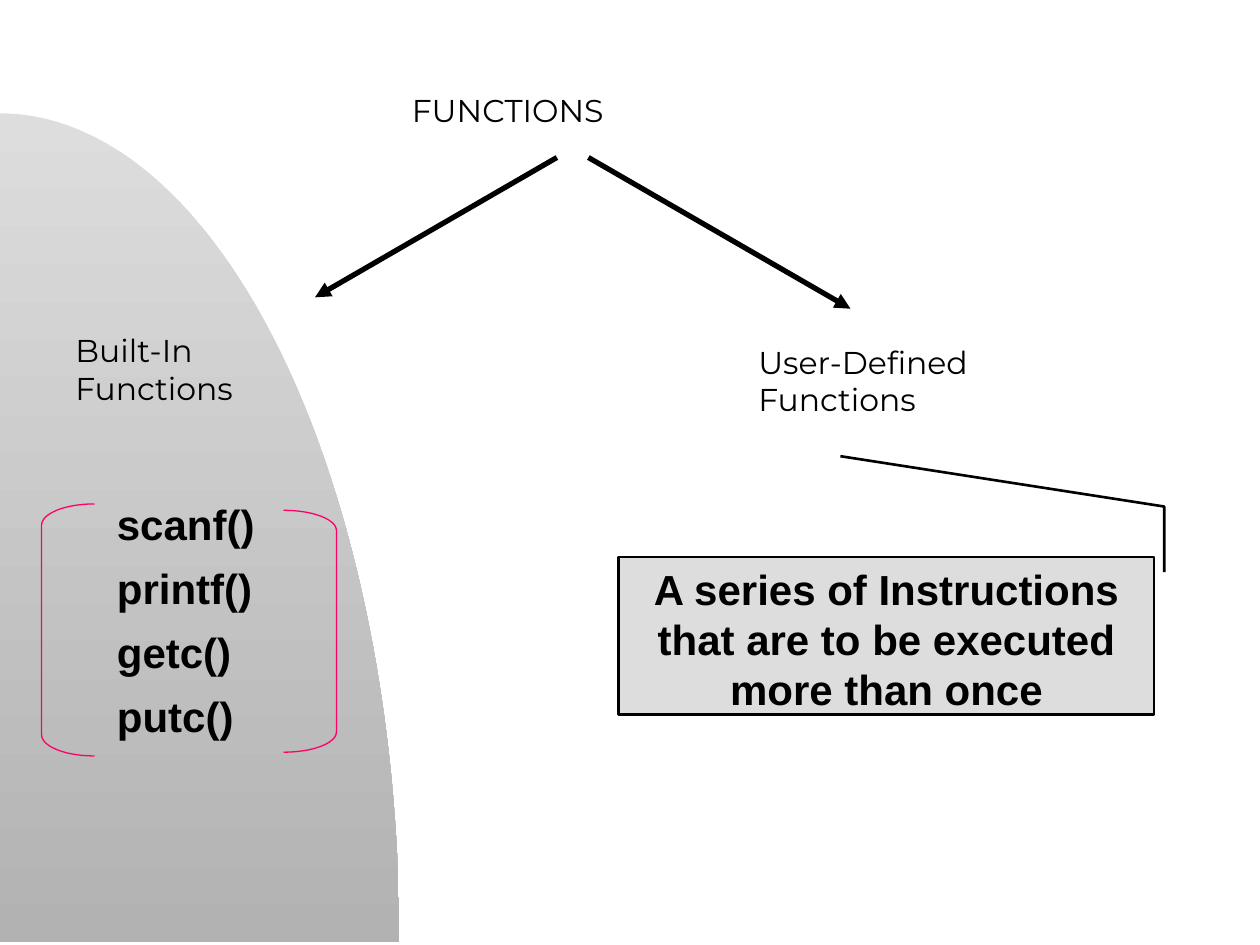
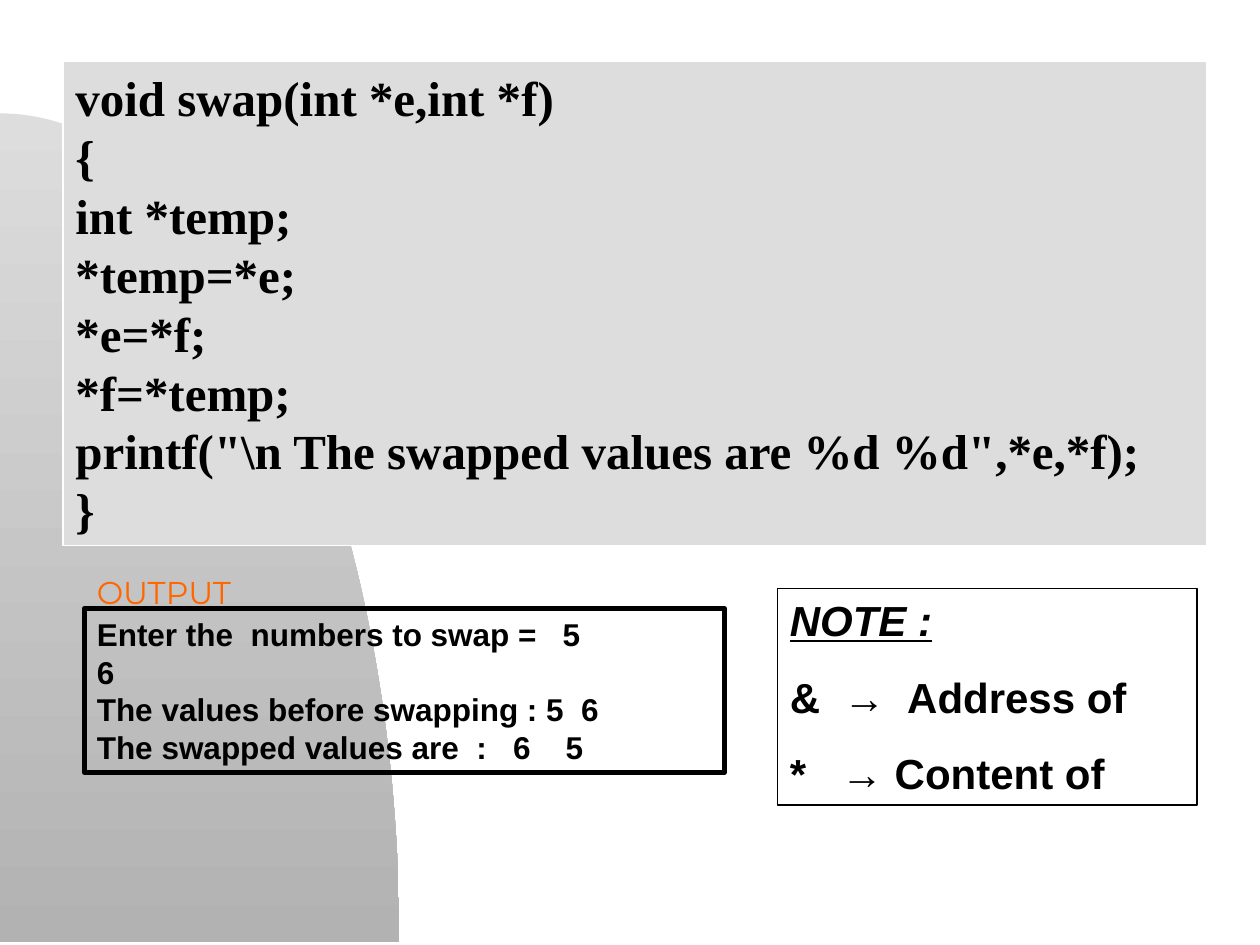
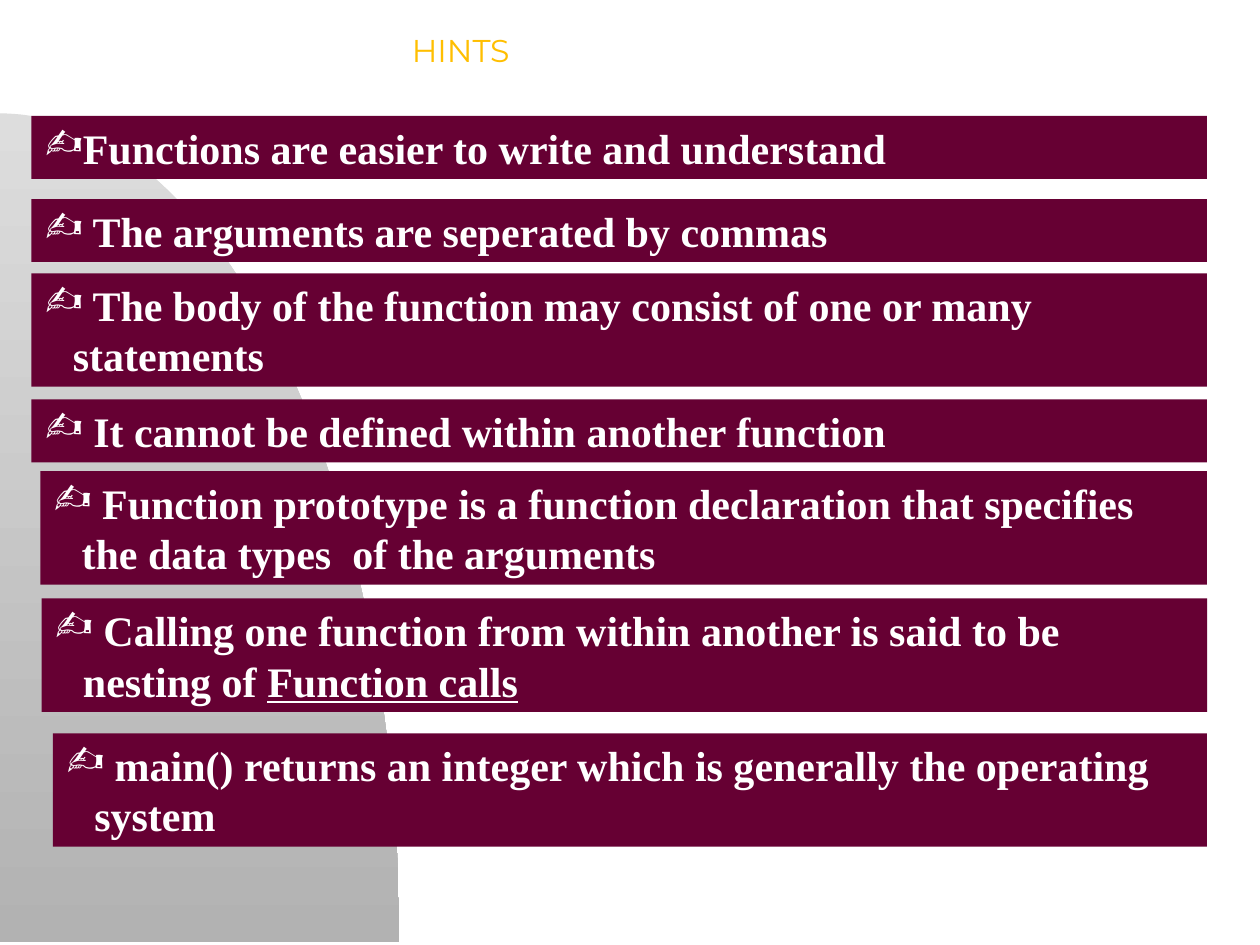
import math

import lxml.etree
import pptx
import pptx.dml.color
import pptx.enum.shapes
import pptx.enum.text
import pptx.oxml.ns
import pptx.util

Inches = pptx.util.Inches
Pt = pptx.util.Pt
SHAPE = pptx.enum.shapes.MSO_SHAPE
FIT = pptx.enum.text.MSO_AUTO_SIZE
ALIGN = pptx.enum.text.PP_ALIGN

COLORS = {
    "black": "000000", "white": "FFFFFF", "light": "DDDDDD", "gray": "B2B2B2",
    "pink": "FF0066", "orange": "FF6600", "gold": "FFBF00", "wine": "660033",
}

# Text styles: font, size, bold
HEAD = ("Montserrat", 18, False)
BODY = ("Arial", 24, True)
SMALL = ("Arial", 18, True)
CODE = ("Times New Roman", 28, True)
HINT = ("Times New Roman", 24, True)

# The writing hand of the Wingdings font
HAND = "?"


def rgb(name):
    return pptx.dml.color.RGBColor.from_string(COLORS[name])


def add_xml(parent, tag, **attrs):
    return lxml.etree.SubElement(parent, pptx.oxml.ns.qn(tag), attrs)


def paint(shape, fill=None, line=None, width=0.75):
    shape.shadow.inherit = False
    if fill:
        shape.fill.solid()
        shape.fill.fore_color.rgb = rgb(fill)
    else:
        shape.fill.background()
    if line:
        shape.line.color.rgb = rgb(line)
        shape.line.width = Pt(width)
    else:
        shape.line.fill.background()


def add_run(para, text, style, color, italic=False, under=False):
    run = para.add_run()
    run.text = text
    font = run.font
    font.name, size, font.bold = style
    font.size = Pt(size)
    font.color.rgb = rgb(color)
    if italic:
        font.italic = True
    if under:
        font.underline = True


def add_bullet(para, char, color, indent):
    props = para._p.get_or_add_pPr()
    props.set("marL", str(Inches(indent)))
    props.set("indent", str(-Inches(indent)))
    tint = add_xml(props, "a:buClr")
    add_xml(tint, "a:srgbClr", val=COLORS[color])
    add_xml(props, "a:buFont", typeface="Wingdings", pitchFamily="2", charset="2")
    add_xml(props, "a:buChar", char=char)


def write(shape, paras, style, color="black", align=ALIGN.LEFT, before=None,
          lead=None, wrap=True, fit=FIT.NONE, bullet=None):
    """Each paragraph is a string or a list of (text, run options)."""
    frame = shape.text_frame
    frame.word_wrap = wrap
    frame.auto_size = fit
    frame.vertical_anchor = pptx.enum.text.MSO_ANCHOR.TOP
    for num, runs in enumerate(paras):
        para = frame.add_paragraph() if num else frame.paragraphs[0]
        para.alignment = align
        if before:
            para.space_before = Pt(before)
        if lead:
            para.line_spacing = lead
        if bullet:
            add_bullet(para, bullet, color, 0.23)
        for text, opts in [(runs, {})] if isinstance(runs, str) else runs:
            add_run(para, text, style, color, **opts)


def add_box(slide, box, fill=None, line=None, width=0.75, kind=SHAPE.RECTANGLE):
    shape = slide.shapes.add_shape(kind, *map(Inches, box))
    paint(shape, fill, line, width)
    return shape


def add_label(slide, box, paras, color="black"):
    """Unwrapped text, a block centred in a plain shape."""
    write(add_box(slide, box), paras, HEAD, color, wrap=False)


def add_arrow(slide, start, end):
    kind = pptx.enum.shapes.MSO_CONNECTOR.STRAIGHT
    arrow = slide.shapes.add_connector(kind, *map(Inches, start + end))
    arrow.line.color.rgb = rgb("black")
    arrow.line.width = Pt(3)
    props = arrow._element.spPr
    add_xml(props.find(pptx.oxml.ns.qn("a:ln")), "a:tailEnd", type="triangle")
    add_xml(props, "a:effectLst")


def add_slide(deck):
    """Blank slide with the gray quarter ellipse that all slides share."""
    slide = deck.slides.add_slide(deck.slide_layouts[6])
    wide, top, base, steps = 3.17, 0.9, 7.48, 90
    turns = [math.pi / 2 * num / steps for num in range(steps + 1)]
    curve = [(Inches(wide * math.sin(turn)),
              Inches(base - (base - top) * math.cos(turn))) for turn in turns]
    build = slide.shapes.build_freeform(*curve[0])
    build.add_line_segments(curve[1:] + [(0, Inches(base))], close=True)
    arc = build.convert_to_shape()
    paint(arc)
    arc.fill.gradient()
    arc.fill.gradient_angle = 270
    for stop, name in zip(arc.fill.gradient_stops, ("light", "gray")):
        stop.color.rgb = rgb(name)
    return slide


def add_kinds(deck):
    slide = add_slide(deck)
    # Tree of function kinds
    add_label(slide, (3.17, 0.67, 3.31, 0.5), ["FUNCTIONS"])
    add_label(slide, (0.5, 2.58, 3.31, 0.92), ["Built-In", "Functions"])
    add_label(slide, (5.92, 2.67, 3.31, 0.92), ["User-Defined", "Functions"])
    add_arrow(slide, (4.42, 1.25), (2.5, 2.36))
    add_arrow(slide, (4.67, 1.25), (6.75, 2.45))

    # Built-in names between brackets
    for kind, box, bend in (
            (SHAPE.LEFT_BRACKET, (0.33, 4, 0.42, 2), 0.4),
            (SHAPE.RIGHT_BRACKET, (2.25, 4.05, 0.42, 1.92), 0.38)):
        add_box(slide, box, line="pink", kind=kind).adjustments[0] = bend
    names = slide.shapes.add_textbox(*map(Inches, (0.83, 4, 2.83, 1.93)))
    write(names, ["scanf()", "printf()", "getc()", "putc()"], BODY,
          before=15, lead=0.75, fit=FIT.SHAPE_TO_FIT_TEXT)

    # Callout; leader points are y, x shares of the box
    left, top, wide, high = box = (4.91, 4.42, 4.25, 1.25)
    note = add_box(slide, box, "light", "black", 1.5, SHAPE.LINE_CALLOUT_2)
    for num, (x, y) in enumerate(((9.24, 4.54), (9.24, 4.02), (6.67, 3.62))):
        note.adjustments[2 * num] = (y - top) / high
        note.adjustments[2 * num + 1] = (x - left) / wide
    write(note, ["A series of Instructions that are to be executed more than once"],
          BODY, align=ALIGN.CENTER)


def add_swap(deck):
    slide = add_slide(deck)
    # Code
    code = add_box(slide, (0.5, 0.49, 9.08, 3.84), "light", "white")
    write(code, [
        "void swap(int *e,int *f)", "{", "int *temp;", "*temp=*e;", "*e=*f;",
        "*f=*temp;", 'printf("\\n The swapped values are %d %d",*e,*f);', "}",
    ], CODE, fit=FIT.SHAPE_TO_FIT_TEXT)

    # Note on the operators
    note = add_box(slide, (6.17, 4.67, 3.33, 1.72), line="black")
    write(note, [
        [("NOTE :", {"italic": True, "under": True})],
        "&  →  Address of", "*   → Content of",
    ], BODY, before=15, fit=FIT.SHAPE_TO_FIT_TEXT)

    # Output
    add_label(slide, (0.67, 4.5, 1.92, 0.25), ["OUTPUT"], "orange")
    out = add_box(slide, (0.67, 4.83, 5.08, 1.3), line="black", width=3)
    write(out, [
        "Enter the  numbers to swap =   5", "6",
        "The values before swapping : 5  6", "The swapped values are  :   6    5",
    ], SMALL, fit=FIT.SHAPE_TO_FIT_TEXT)


def add_hints(deck):
    slide = add_slide(deck)
    add_label(slide, (3.17, 0.2, 2.83, 0.5), ["HINTS"], "gold")
    # Bars: left, top, height, text; all end at the same right edge
    right = 9.58
    hints = [
        (0.25, 0.92, 0.5, "Functions are easier to write and understand"),
        (0.25, 1.58, 0.5, " The arguments are seperated by commas"),
        (0.25, 2.17, 0.9,
         " The body of the function may consist of one or many statements"),
        (0.25, 3.17, 0.5, " It cannot be defined within another function"),
        (0.32, 3.74, 0.9, " Function prototype is a function declaration that "
                          "specifies the data types  of the arguments"),
        (0.33, 4.75, 0.9,
         [(" Calling one function from within another is said to be nesting of ", {}),
          ("Function calls", {"under": True})]),
        (0.42, 5.82, 0.9,
         " main() returns an integer which is generally the operating system"),
    ]
    for left, top, high, text in hints:
        bar = add_box(slide, (left, top, right - left, high), "wine")
        write(bar, [text], HINT, "white", bullet=HAND, fit=FIT.SHAPE_TO_FIT_TEXT)


def main():
    deck = pptx.Presentation()
    deck.slide_width, deck.slide_height = Inches(10), Inches(7.5)
    add_kinds(deck)
    add_swap(deck)
    add_hints(deck)
    deck.save("out.pptx")


if __name__ == "__main__":
    main()
